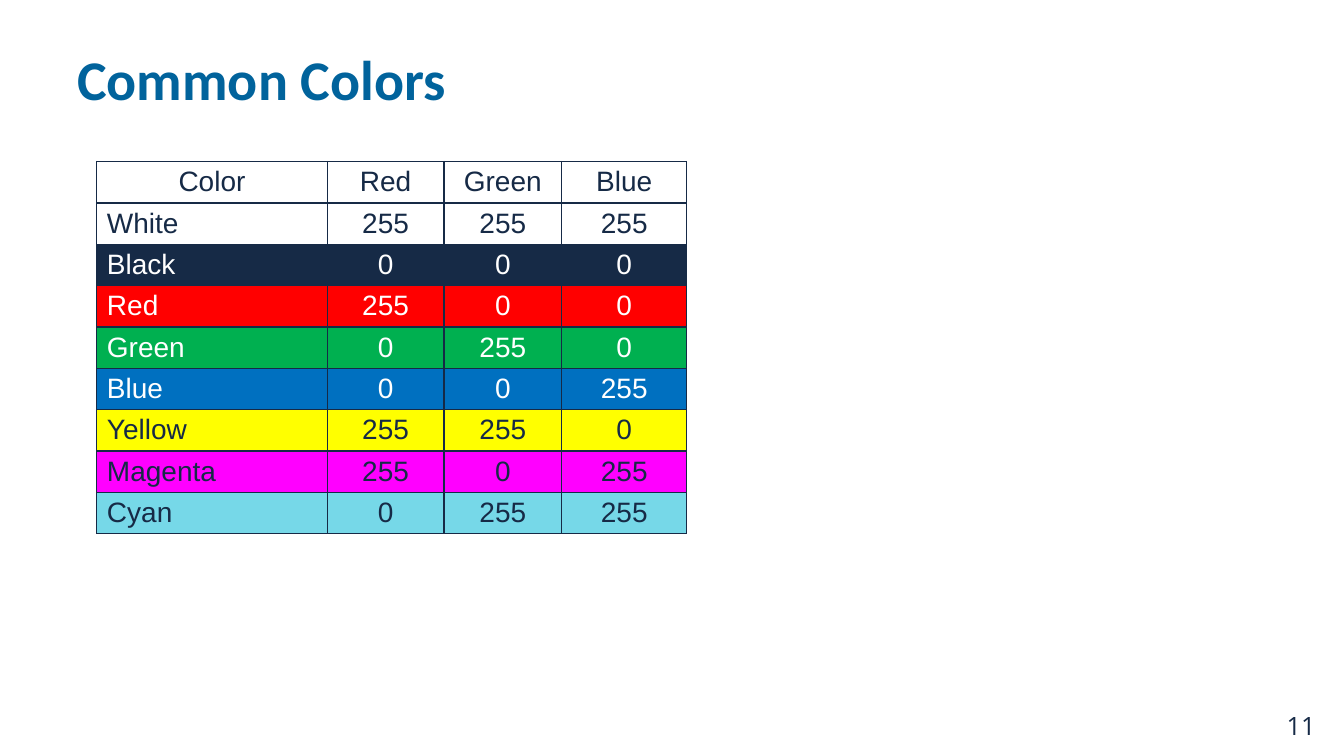
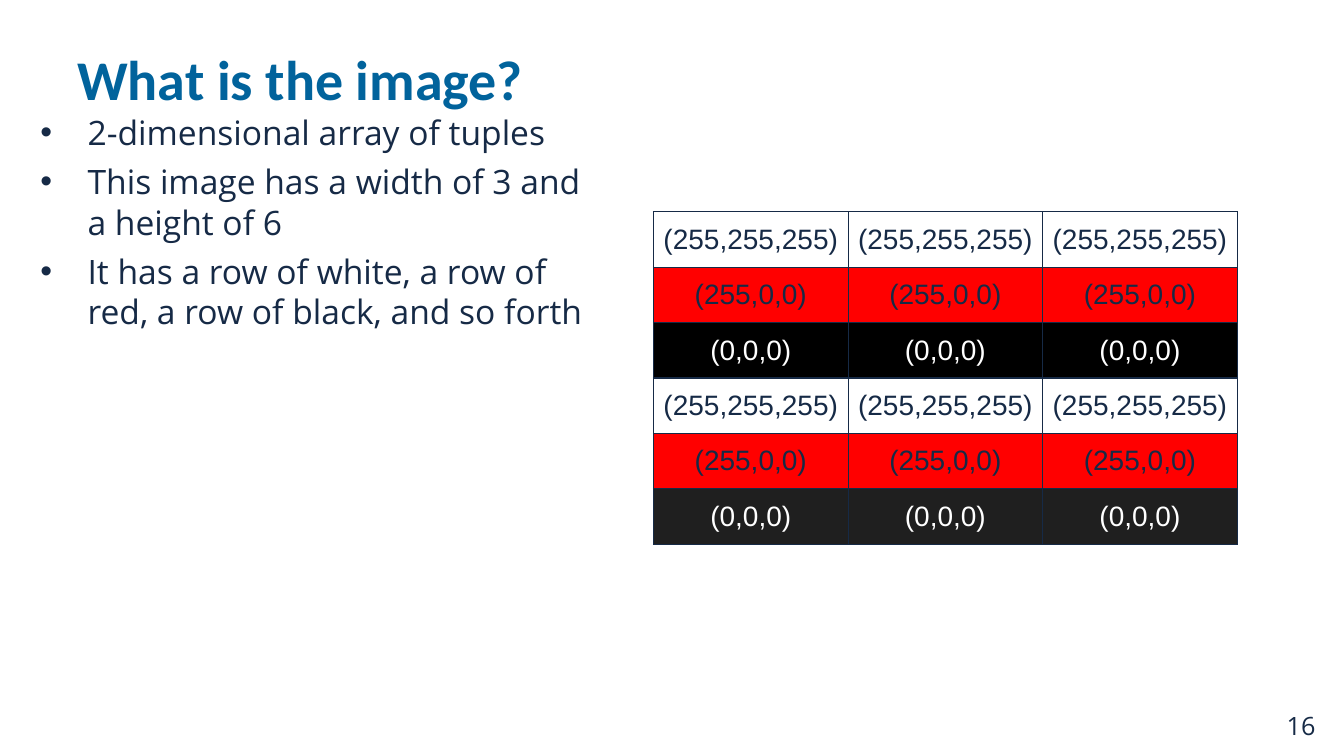
"""Build two slides on RGB colours: a table of common colours and an image shown as tuples."""
from lxml.etree import SubElement
from pptx import Presentation
from pptx.dml.color import RGBColor
from pptx.enum.text import MSO_ANCHOR as Anchor, MSO_AUTO_SIZE as AutoSize, PP_ALIGN as Align
from pptx.oxml.ns import qn
from pptx.util import Pt

NAVY, TITLE_BLUE, WHITE, RED = "162A46", "01639C", "FFFFFF", "FF0000"
TITLE_FORMAT = {"name": "Calibri", "size": Pt(40), "bold": True}
BULLET_FORMAT = {"name": "Open Sans", "size": Pt(24)}
NUMBER_FORMAT = {"name": "Open Sans", "size": Pt(18)}
CELL_FORMAT = {"name": "Arial", "size": Pt(20), "bold": False}
FRAME_FORMAT = {"word_wrap": True, "auto_size": AutoSize.NONE,
                "margin_left": Pt(7.2), "margin_right": Pt(7.2),
                "margin_top": Pt(3.6), "margin_bottom": Pt(3.6)}
TITLE_ONLY, TITLE_AND_BODY = 5, 1

COMMON_COLORS = [
    (("Color", "Red", "Green", "Blue"), WHITE, NAVY),
    (("White", 255, 255, 255), WHITE, NAVY),
    (("Black", 0, 0, 0), NAVY, WHITE),
    (("Red", 255, 0, 0), RED, WHITE),
    (("Green", 0, 255, 0), "00B050", WHITE),
    (("Blue", 0, 0, 255), "0070C0", WHITE),
    (("Yellow", 255, 255, 0), "FFFF00", NAVY),
    (("Magenta", 255, 0, 255), "FF00FF", NAVY),
    (("Cyan", 0, 255, 255), "76D8E8", NAVY),
]
IMAGE_WIDTH = 3
IMAGE_ROWS = [
    (("(255,255,255)",) * IMAGE_WIDTH, WHITE, NAVY),
    (("(255,0,0)",) * IMAGE_WIDTH, RED, NAVY),
    (("(0,0,0)",) * IMAGE_WIDTH, "000000", WHITE),
    (("(255,255,255)",) * IMAGE_WIDTH, WHITE, NAVY),
    (("(255,0,0)",) * IMAGE_WIDTH, RED, NAVY),
    (("(0,0,0)",) * IMAGE_WIDTH, "1F1F1F", WHITE),
]
IMAGE_FACTS = [
    "2-dimensional array of tuples",
    "This image has a width of 3 and a height of 6",
    "It has a row of white, a row of red, a row of black, and so forth",
]


def rgb(color):
    return RGBColor.from_string(color)


def apply(target, values):
    for name, value in values.items():
        setattr(target, name, value)


def place(shape, left, top, width, height):
    apply(shape, {"left": Pt(left), "top": Pt(top), "width": Pt(width), "height": Pt(height)})


def write(paragraph, text, font_format, color, align=Align.LEFT):
    paragraph.alignment = align
    run = paragraph.add_run()
    run.text = str(text)
    apply(run.font, font_format)
    run.font.color.rgb = rgb(color)


def add_slide(deck, layout, title, number):
    slide = deck.slides.add_slide(deck.slide_layouts[layout])
    heading = slide.shapes.title
    place(heading, 48, 4.8, 864, 102)
    apply(heading.text_frame, FRAME_FORMAT)
    heading.text_frame.vertical_anchor = Anchor.MIDDLE
    write(heading.text_frame.paragraphs[0], title, TITLE_FORMAT, TITLE_BLUE)
    page_number = slide.shapes.add_textbox(Pt(912), Pt(504), Pt(36), Pt(29))
    apply(page_number.text_frame, FRAME_FORMAT)
    write(page_number.text_frame.paragraphs[0], number, NUMBER_FORMAT, NAVY)
    return slide


def add_borders(cell):
    properties = cell._tc.get_or_add_tcPr()
    for side in ("a:lnL", "a:lnR", "a:lnT", "a:lnB"):
        border = SubElement(properties, qn(side), w=str(Pt(1)))
        SubElement(SubElement(border, qn("a:solidFill")), qn("a:srgbClr"), val=NAVY)


def add_color_table(slide, rows, left, top, widths, row_height, cell_format, named=False):
    table = slide.shapes.add_table(len(rows), len(widths), Pt(left), Pt(top),
                                   Pt(sum(widths)), Pt(row_height * len(rows))).table
    apply(table, {"first_row": False, "horz_banding": False})
    for column, width in zip(table.columns, widths):
        column.width = Pt(width)
    for r, (values, fill, ink) in enumerate(rows):
        table.rows[r].height = Pt(row_height)
        for c, value in enumerate(values):
            cell = table.cell(r, c)
            apply(cell, cell_format)
            add_borders(cell)
            cell.fill.solid()
            cell.fill.fore_color.rgb = rgb(fill)
            align = Align.LEFT if named and r and not c else Align.CENTER
            write(cell.text_frame.paragraphs[0], value, CELL_FORMAT, ink, align)


def add_bullets(body, items):
    apply(body.text_frame, FRAME_FORMAT)
    body.text_frame.vertical_anchor = Anchor.TOP
    for i, item in enumerate(items):
        paragraph = body.text_frame.add_paragraph() if i else body.text_frame.paragraphs[0]
        properties = paragraph._p.get_or_add_pPr()
        apply(paragraph, {"line_spacing": 1.0, "space_before": Pt(6.4 if i else 0)})
        properties.set("marL", str(Pt(36)))
        properties.set("indent", str(-Pt(33.8)))
        SubElement(SubElement(properties, qn("a:buClr")), qn("a:srgbClr"), val=NAVY)
        SubElement(properties, qn("a:buFont"), typeface="Arial")
        SubElement(properties, qn("a:buChar"), char="•")
        write(paragraph, item, BULLET_FORMAT, NAVY)


def main():
    deck = Presentation()
    apply(deck, {"slide_width": Pt(960), "slide_height": Pt(540)})

    colors = add_slide(deck, TITLE_ONLY, "Common Colors", 11)
    add_color_table(colors, COMMON_COLORS, 69.2, 115.4, (164.5, 83.5, 84, 89.5), 29.55,
                    {"margin_top": Pt(3.5), "margin_bottom": Pt(3)}, named=True)

    image = add_slide(deck, TITLE_AND_BODY, "What is the image?", 16)
    add_color_table(image, IMAGE_ROWS, 466.8, 151.2, (139,) * IMAGE_WIDTH, 39.6,
                    {"vertical_anchor": Anchor.MIDDLE,
                     "margin_left": Pt(6.5), "margin_right": Pt(6.5)})
    facts = image.placeholders[1]
    place(facts, 19.4, 76.3, 410.4, 362)
    add_bullets(facts, IMAGE_FACTS)

    deck.save("out.pptx")


if __name__ == "__main__":
    main()
